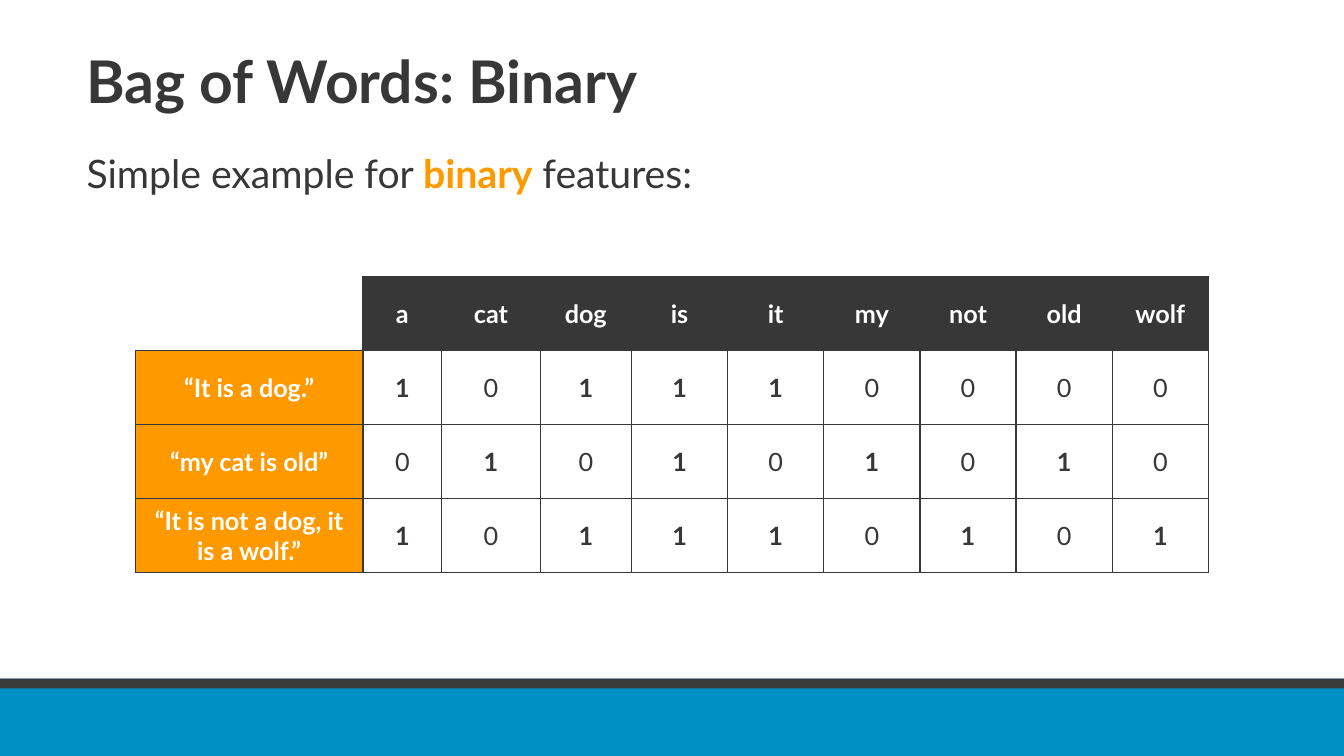
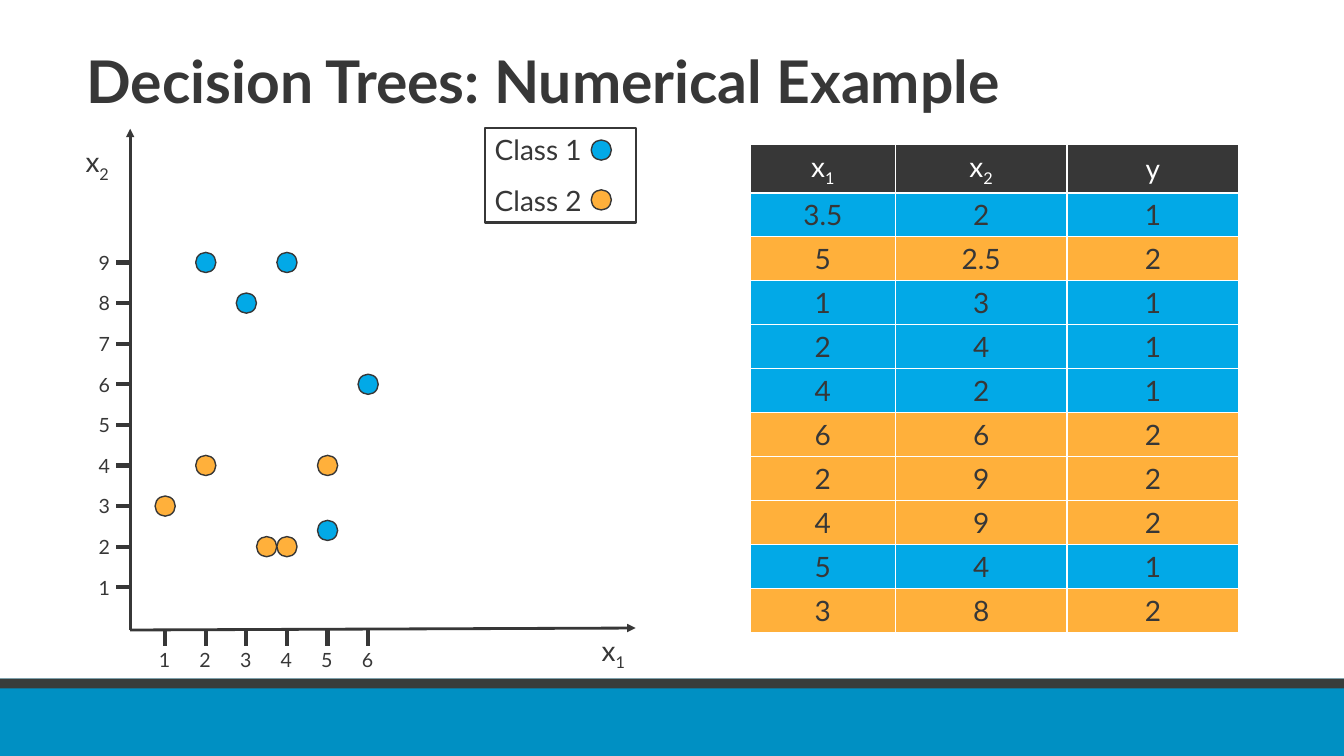
from pptx import Presentation
from pptx.dml.color import RGBColor
from pptx.enum.shapes import MSO_CONNECTOR, MSO_SHAPE
from pptx.enum.text import MSO_ANCHOR, PP_ALIGN
from pptx.oxml.ns import qn
from pptx.util import Pt
from lxml import etree

RECTANGLE, OVAL = MSO_SHAPE.RECTANGLE, MSO_SHAPE.OVAL
STRAIGHT = MSO_CONNECTOR.STRAIGHT
TOP, MIDDLE = MSO_ANCHOR.TOP, MSO_ANCHOR.MIDDLE
LEFT, CENTER = PP_ALIGN.LEFT, PP_ALIGN.CENTER

DARK = RGBColor(0x37, 0x37, 0x37)
WHITE = RGBColor(0xFF, 0xFF, 0xFF)
BAND_BLUE = RGBColor(0x00, 0x90, 0xC3)
BAND_DARK = RGBColor(0x38, 0x3D, 0x3B)
ORANGE = RGBColor(0xFF, 0x99, 0x00)
CLASS_COLORS = {1: RGBColor(0x02, 0xA9, 0xE7), 2: RGBColor(0xFF, 0xB0, 0x3B)}

SLIDE_WIDTH, SLIDE_HEIGHT = 960, 540
BAND_TOP = 484.8
FONT = "Lato"

# Text formats; "color" and "baseline" are handled apart from plain attributes
TITLE = {"size": Pt(42), "bold": True, "color": DARK}
BODY = {"size": Pt(28), "color": DARK}
BODY_ACCENT = {**BODY, "bold": True, "color": ORANGE}
CELL = {"size": Pt(18), "color": DARK}
CELL_BOLD = {**CELL, "bold": True}
CELL_HEADER = {**CELL_BOLD, "color": WHITE}
LABEL = {"size": Pt(20), "color": DARK}
LABEL_HEADER = {**LABEL, "color": WHITE}
TICK = {"size": Pt(14), "color": DARK}

# Bag-of-words data
WORDS = ["a", "cat", "dog", "is", "it", "my", "not", "old", "wolf"]
SENTENCES = {
    "“It is a dog.”": "101110000",
    "“my cat is old”": "010101010",
    "“It is not a dog, it is a wolf.”": "101110101",
}

# Decision-tree data: table rows, and the plotted points by class
SAMPLES = [
    ("3.5", "2", 1), ("5", "2.5", 2), ("1", "3", 1), ("2", "4", 1),
    ("4", "2", 1), ("6", "6", 2), ("2", "9", 2), ("4", "9", 2),
    ("5", "4", 1), ("3", "8", 2),
]
POINTS = {
    1: [(2, 9), (4, 9), (3, 8), (6, 6), (5, 2.4)],
    2: [(2, 4), (1, 3), (3.5, 2), (4, 2), (5, 4)],
}

# Plot geometry
AXIS_X, AXIS_Y = 93, 450
ZERO_X, ZERO_Y, UNIT = 89, 448.5, 29
DOT = 14.4


def plot_x(value):
    return ZERO_X + UNIT * value


def plot_y(value):
    return ZERO_Y - UNIT * value


def write(paragraph, runs, align=LEFT):
    """Fill a paragraph with (text, format) runs."""
    paragraph.alignment = align
    for text, text_format in runs:
        run = paragraph.add_run()
        run.text = text
        run.font.name = FONT
        for name, value in text_format.items():
            if name == "color":
                run.font.color.rgb = value
            elif name == "baseline":
                run._r.get_or_add_rPr().set("baseline", str(value))
            else:
                setattr(run.font, name, value)


def subscripted(base, index, text_format):
    return [(base, text_format), (index, {**text_format, "baseline": -25000})]


def add_text(slide, box, runs, align=LEFT, anchor=TOP, **spacing):
    shape = slide.shapes.add_textbox(*map(Pt, box))
    frame = shape.text_frame
    frame.word_wrap = True
    frame.vertical_anchor = anchor
    paragraph = frame.paragraphs[0]
    for name, value in spacing.items():
        setattr(paragraph, name, value)
    write(paragraph, runs, align)


def add_block(slide, kind, box, fill=None, line_width=None):
    shape = slide.shapes.add_shape(kind, *map(Pt, box))
    shape.shadow.inherit = False
    if fill is None:
        shape.fill.background()
    else:
        shape.fill.solid()
        shape.fill.fore_color.rgb = fill
    if line_width is None:
        shape.line.fill.background()
    else:
        shape.line.color.rgb = DARK
        shape.line.width = Pt(line_width)
    return shape


def add_dot(slide, center_x, center_y, class_number):
    box = (center_x - DOT / 2, center_y - DOT / 2, DOT, DOT)
    add_block(slide, OVAL, box, CLASS_COLORS[class_number], 1)


def add_line(slide, start, end, width, arrow=False):
    line = slide.shapes.add_connector(STRAIGHT, *map(Pt, (*start, *end)))
    line.line.color.rgb = DARK
    line.line.width = Pt(width)
    if arrow:
        outline = line.line._get_or_add_ln()
        etree.SubElement(outline, qn("a:tailEnd"), type="triangle")
    etree.SubElement(line._element.spPr, qn("a:effectLst"))


def add_borders(cell, color, sides):
    properties = cell._tc.get_or_add_tcPr()
    for side in sides:
        border = etree.SubElement(properties, qn(f"a:ln{side}"), w=str(Pt(1)))
        fill = etree.SubElement(border, qn("a:solidFill"))
        etree.SubElement(fill, qn("a:srgbClr"), val=str(color))


def add_table(slide, left, top, widths, heights, border_color, rows):
    """Rows hold (runs, fill) cells; None leaves the corner cell open."""
    table = slide.shapes.add_table(
        len(heights), len(widths), Pt(left), Pt(top),
        Pt(sum(widths)), Pt(sum(heights))).table
    table.first_row = table.horz_banding = False
    for column, width in zip(table.columns, widths):
        column.width = Pt(width)
    for row, height in zip(table.rows, heights):
        row.height = Pt(height)
    for row, contents in zip(table.rows, rows):
        for cell, content in zip(row.cells, contents):
            add_borders(cell, border_color, "LRTB" if content else "RB")
            runs, fill = content or ([], None)
            if fill is None:
                cell.fill.background()
            else:
                cell.fill.solid()
                cell.fill.fore_color.rgb = fill
            cell.vertical_anchor = MIDDLE
            write(cell.text_frame.paragraphs[0], runs, CENTER)


def add_slide(presentation, title):
    """Blank slide with the shared bottom bands and title."""
    slide = presentation.slides.add_slide(presentation.slide_layouts[6])
    band_height = SLIDE_HEIGHT - BAND_TOP
    add_block(slide, RECTANGLE, (0, BAND_TOP, SLIDE_WIDTH, band_height), BAND_BLUE)
    add_block(slide, RECTANGLE, (0, BAND_TOP, SLIDE_WIDTH, 7), BAND_DARK)
    add_text(slide, (54.7, 23, 870, 77.8), [(title, TITLE)],
             anchor=MIDDLE, line_spacing=0.8)
    return slide


def add_axes(slide):
    add_line(slide, (AXIS_X, AXIS_Y), (454, 448.6), 2, arrow=True)
    add_line(slide, (AXIS_X, AXIS_Y), (AXIS_X, 92), 2, arrow=True)
    add_text(slide, (422.6, 448.6, 40, 31.2), subscripted("x", "1", LABEL))
    add_text(slide, (54, 100, 40, 31.2), subscripted("x", "2", LABEL))
    # Ticks with their numbers
    for value in range(1, 10):
        y = plot_y(value)
        add_line(slide, (83, y), (92, y), 3)
        add_text(slide, (60, y - 12, 29, 24), [(str(value), TICK)], CENTER, MIDDLE)
    for value in range(1, 7):
        x = plot_x(value)
        add_line(slide, (x, AXIS_Y), (x, AXIS_Y + 11.5), 3)
        add_text(slide, (x - 15, 459, 29, 24), [(str(value), TICK)], CENTER, MIDDLE)


def add_legend(slide):
    legend = add_block(slide, RECTANGLE, (346.3, 91.4, 108, 67.7), line_width=1.75)
    frame = legend.text_frame
    frame.vertical_anchor = TOP
    for index, class_number in enumerate(CLASS_COLORS):
        paragraph = frame.add_paragraph() if index else frame.paragraphs[0]
        if index:
            paragraph.space_before = Pt(12)
        write(paragraph, [(f"Class {class_number}", LABEL)])
        add_dot(slide, 429.5, 107.2 + 35.6 * index, class_number)


def build_bag_of_words(presentation):
    slide = add_slide(presentation, "Bag of Words: Binary")
    add_text(slide, (54.7, 103, 857, 50), [
        ("Simple example for ", BODY), ("binary", BODY_ACCENT), (" features:", BODY)])
    rows = [[None] + [([(word, CELL_HEADER)], DARK) for word in WORDS]]
    for sentence, flags in SENTENCES.items():
        values = [([(flag, CELL_BOLD if flag == "1" else CELL)], None)
                  for flag in flags]
        rows.append([([(sentence, CELL_HEADER)], ORANGE)] + values)
    widths = [162.7, 56.2, 70.4, 65.2] + [68.7] * 6
    add_table(slide, 96.6, 197.8, widths, [52.8] * 4, DARK, rows)


def build_decision_tree(presentation):
    slide = add_slide(presentation, "Decision Trees: Numerical Example")
    headers = [subscripted("x", "1", LABEL_HEADER),
               subscripted("x", "2", LABEL_HEADER), [("y", LABEL_HEADER)]]
    rows = [[(runs, DARK) for runs in headers]]
    for sample in SAMPLES:
        color = CLASS_COLORS[sample[-1]]
        rows.append([([(str(value), LABEL)], color) for value in sample])
    heights = [33.4] + [31.4] * len(SAMPLES)
    add_table(slide, 536, 103.3, [103.5, 122.7, 122.7], heights, WHITE, rows)
    # Scatter plot
    add_axes(slide)
    add_legend(slide)
    for class_number, points in POINTS.items():
        for x, y in points:
            add_dot(slide, plot_x(x), plot_y(y), class_number)


def main():
    presentation = Presentation()
    presentation.slide_width = Pt(SLIDE_WIDTH)
    presentation.slide_height = Pt(SLIDE_HEIGHT)
    build_bag_of_words(presentation)
    build_decision_tree(presentation)
    presentation.save("out.pptx")


if __name__ == "__main__":
    main()
